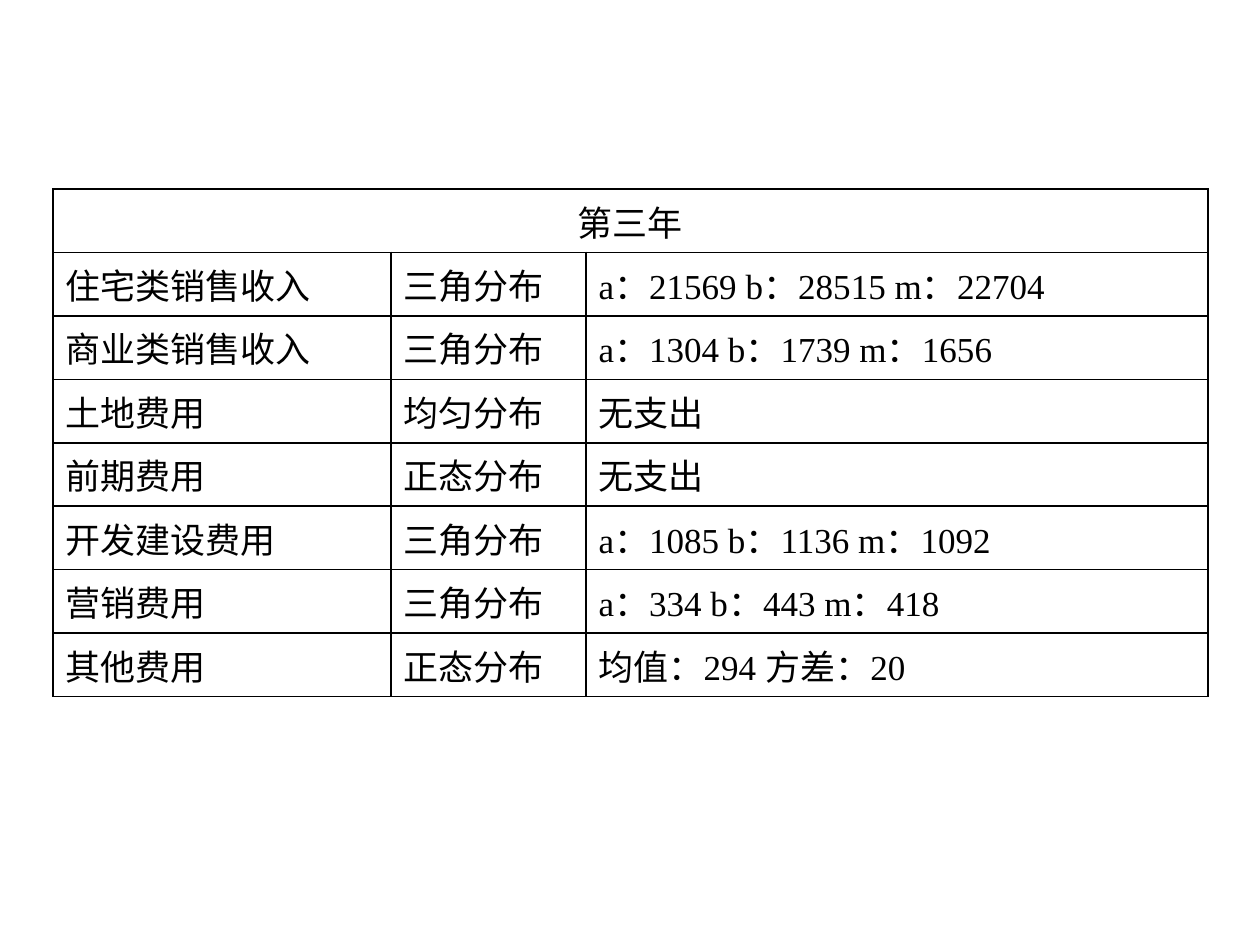
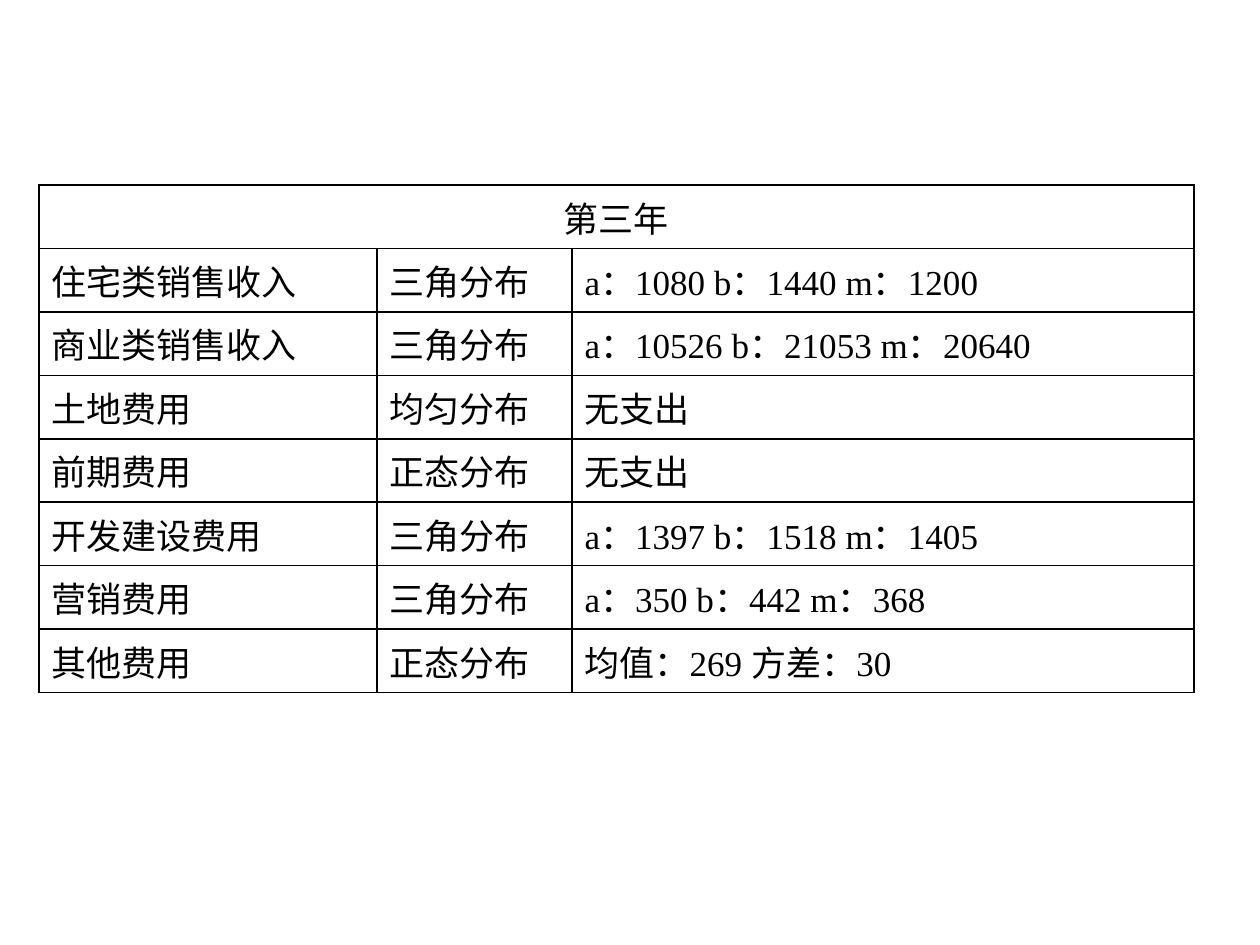
"""Build two slides of third-year cash-flow distribution tables."""
from lxml import etree
from pptx import Presentation, util as u
from pptx.dml.color import RGBColor
from pptx.enum import lang, text
from pptx.oxml.ns import qn

PX_PER_INCH = 126
BLACK = "000000"
FONT = "Times New Roman"
FONT_SIZE = 20
HANGING = 48
COLUMN_WIDTHS = (338, 195, 622)
ROW_HEIGHT = 62
HEADING = "第三年"
ITEMS = (
    ("住宅类销售收入", "三角分布"),
    ("商业类销售收入", "三角分布"),
    ("土地费用", "均匀分布"),
    ("前期费用", "正态分布"),
    ("开发建设费用", "三角分布"),
    ("营销费用", "三角分布"),
    ("其他费用", "正态分布"),
)
TABLES = (
    (53, 189, ("a：21569 b：28515 m：22704", "a：1304 b：1739 m：1656",
               "无支出", "无支出", "a：1085 b：1136 m：1092",
               "a：334 b：443 m：418", "均值：294 方差：20")),
    (39, 185, ("a：1080 b：1440 m：1200", "a：10526 b：21053 m：20640",
               "无支出", "无支出", "a：1397 b：1518 m：1405",
               "a：350 b：442 m：368", "均值：269 方差：30")),
)


def px(length):
    """Turn whole pixels into EMU."""
    return u.Emu(round(length * 914400 / PX_PER_INCH))


def color(value):
    """Turn a hex string into a colour."""
    return RGBColor.from_string(value)


def set_borders(cell, points=1):
    """Draw a solid black line on all four sides of a cell."""
    properties = cell._tc.get_or_add_tcPr()
    for side in ("lnL", "lnR", "lnT", "lnB"):
        line = etree.SubElement(properties, qn(f"a:{side}"), w=str(u.Pt(points)))
        fill = etree.SubElement(line, qn("a:solidFill"))
        etree.SubElement(fill, qn("a:srgbClr"), val=BLACK)


def fill_cell(cell, words, align=text.PP_ALIGN.LEFT):
    """Write and format the text of one cell."""
    cell.text_frame.text = words
    cell.vertical_anchor = text.MSO_ANCHOR.BOTTOM
    para = cell.text_frame.paragraphs[0]
    para.alignment = align
    properties = para._p.get_or_add_pPr()
    properties.set("marL", str(px(HANGING)))
    properties.set("indent", str(-px(HANGING)))
    for span in para.runs:
        span.font.name = FONT
        span.font.size = u.Pt(FONT_SIZE)
        span.font.color.rgb = color(BLACK)
        span.font.language_id = lang.MSO_LANGUAGE_ID.SIMPLIFIED_CHINESE


def add_distribution_table(page, left, top, parameters):
    """Add the table of items, distributions and their parameters."""
    row_count = len(ITEMS) + 1
    frame = page.shapes.add_table(
        row_count, len(COLUMN_WIDTHS), px(left), px(top),
        px(sum(COLUMN_WIDTHS)), px(ROW_HEIGHT * row_count))
    table = frame.table
    table.first_row = table.horz_banding = False
    for column, width in zip(table.columns, COLUMN_WIDTHS):
        column.width = px(width)
    for row in table.rows:
        row.height = px(ROW_HEIGHT)
    for cell in table.iter_cells():
        set_borders(cell)
        cell.fill.background()
    table.cell(0, 0).merge(table.cell(0, len(COLUMN_WIDTHS) - 1))
    fill_cell(table.cell(0, 0), HEADING, text.PP_ALIGN.CENTER)
    for row, (item, values) in enumerate(zip(ITEMS, parameters), start=1):
        for column, words in enumerate((*item, values)):
            fill_cell(table.cell(row, column), words)


def main():
    """Build and save the deck."""
    deck = Presentation()
    deck.slide_width, deck.slide_height = u.Inches(10), u.Inches(7.5)
    for left, top, parameters in TABLES:
        page = deck.slides.add_slide(deck.slide_layouts[6])
        add_distribution_table(page, left, top, parameters)
    deck.save("out.pptx")


if __name__ == "__main__":
    main()
